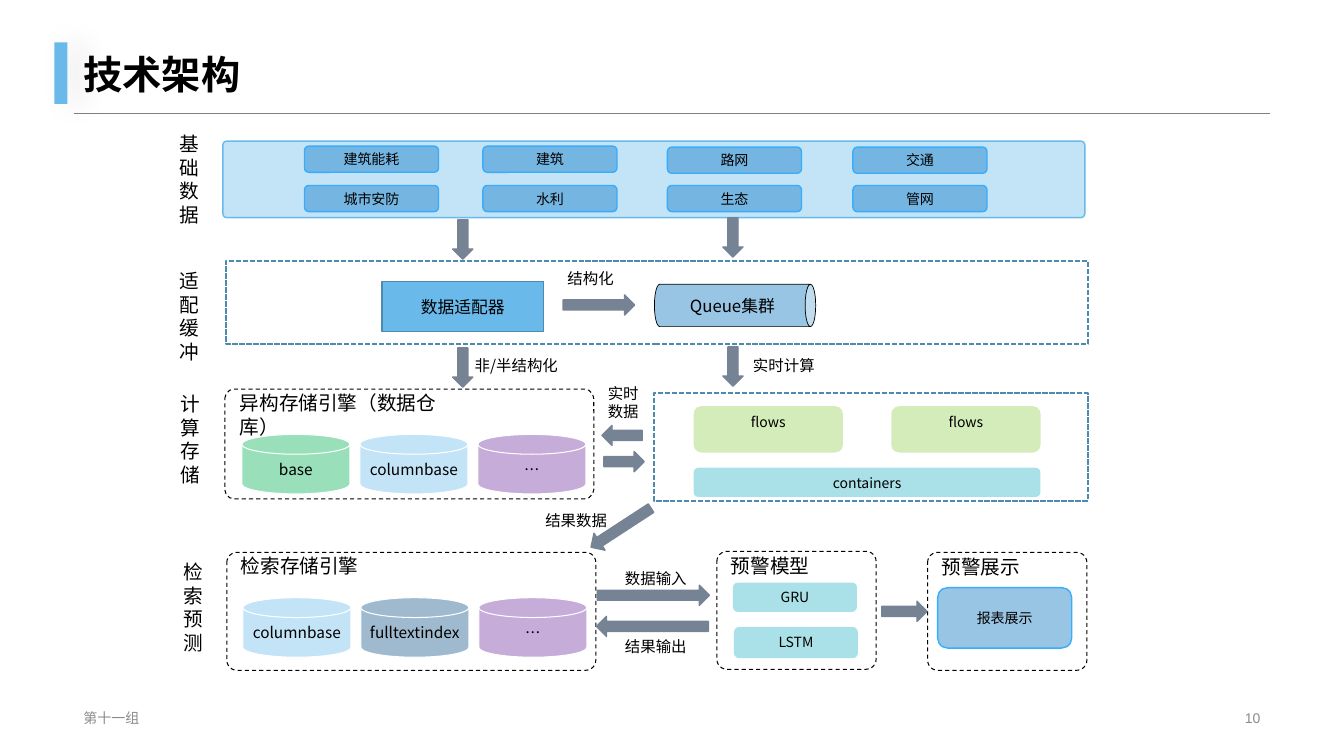
from lxml import etree
from pptx import Presentation
from pptx.dml.color import RGBColor
from pptx.enum.dml import MSO_LINE
from pptx.enum.shapes import MSO_CONNECTOR, MSO_SHAPE
from pptx.enum.text import MSO_ANCHOR, MSO_AUTO_SIZE, PP_ALIGN
from pptx.oxml.ns import qn
from pptx.util import Pt

PX = 9144  # 100 px to the inch
CJK, LATIN = "Noto Sans CJK SC", "Arial"
RECT, ROUND = MSO_SHAPE.RECTANGLE, MSO_SHAPE.ROUNDED_RECTANGLE
DISK, CAN, DOWN = MSO_SHAPE.FLOWCHART_MAGNETIC_DISK, MSO_SHAPE.CAN, MSO_SHAPE.DOWN_ARROW
DASH, SHORT_DASH = MSO_LINE.DASH, MSO_LINE.SQUARE_DOT
TOP, MIDDLE, BOTTOM = MSO_ANCHOR.TOP, MSO_ANCHOR.MIDDLE, MSO_ANCHOR.BOTTOM
LEFT, CENTER, RIGHT = PP_ALIGN.LEFT, PP_ALIGN.CENTER, PP_ALIGN.RIGHT
FIT, NO_FIT = MSO_AUTO_SIZE.SHAPE_TO_FIT_TEXT, MSO_AUTO_SIZE.NONE

COLORS = {
    "black": "000000", "white": "FFFFFF", "rule": "808080", "footer": "8C8C8C",
    "sky": "69B9EB", "steel": "4E89AE", "blue": "0070C0", "edge": "38ACFD",
    "navy": "0F5489", "purple": "7030A0", "green": "00B050", "lime": "92D050",
    "teal": "2BB3C6", "arrow": "768394", "shadow": "262626",
}


def rgb(name):
    return RGBColor.from_string(COLORS[name])


def box(*lengths):
    return [n * PX for n in lengths]


def write(tf, lines, size, color="black", font=CJK, align=LEFT, anchor=TOP, bold=False):
    tf.vertical_anchor = anchor
    for i, line in enumerate(lines):
        p = tf.paragraphs[0] if i == 0 else tf.add_paragraph()
        p.alignment = align
        r = p.add_run()
        r.text = line
        r.font.size, r.font.name, r.font.bold = Pt(size), font, bold
        r.font.color.rgb = rgb(color)
        etree.SubElement(r.font._element, qn("a:ea"), typeface=CJK)


def shape(s, kind, at, fill=None, alpha=None, line=None, width=1, dash=None, adj=None):
    sp = s.shapes.add_shape(kind, *box(*at))
    sp.shadow.inherit = False
    if adj is not None:
        sp.adjustments[0] = adj
    if fill:
        sp.fill.solid()
        sp.fill.fore_color.rgb = rgb(fill)
        if alpha:
            clr = sp._element.spPr.find(qn("a:solidFill"))[0]
            etree.SubElement(clr, qn("a:alpha"), val=str(alpha * 1000))
    else:
        sp.fill.background()
    if line:
        sp.line.color.rgb = rgb(line)
        sp.line.width = Pt(width)
        if dash:
            sp.line.dash_style = dash
    else:
        sp.line.fill.background()
    return sp


def caption(sp, text, size, anchor=MIDDLE, margins=(10, 5)):
    tf = sp.text_frame
    tf.word_wrap = True
    tf.margin_left = tf.margin_right = margins[0] * PX
    tf.margin_top = tf.margin_bottom = margins[1] * PX
    write(tf, [text], size, align=CENTER, anchor=anchor)


def label(s, at, lines, size=11, wrap=True, fit=FIT, **style):
    tf = s.shapes.add_textbox(*box(*at)).text_frame
    tf.word_wrap = wrap
    tf.auto_size = fit
    write(tf, lines, size, **style)


def card(s, x, y, text, h=26):
    sp = shape(s, ROUND, (x, y, 133, h), "blue", 40, "edge")
    caption(sp, text, 10, margins=(11, 5))


def block(s, at, text, fill="teal"):
    caption(shape(s, ROUND, at, fill, 40), text, 10, TOP, (11, 5))


def disk(s, x, y, text, fill):
    sp = shape(s, DISK, (x, y, 107, 59), fill, 40, "white", 0.75)
    caption(sp, text, 11, margins=(4, 0))


def arrow(s, x, y, length, rotation=0):
    sp = shape(s, DOWN, (x, y, 20, length), "arrow", line="arrow")
    sp.rotation = rotation


def frame(s, *at):
    shape(s, ROUND, at, line="black", width=0.75, dash=DASH, adj=0.086)


def zone(s, *at):
    shape(s, RECT, at, line="steel", width=1.25, dash=SHORT_DASH)


def header_and_footer(s):
    rule = s.shapes.add_connector(MSO_CONNECTOR.STRAIGHT, *box(73, 112, 1260, 112))
    rule.line.color.rgb = rgb("rule")
    rule.line.width = Pt(0.25)
    etree.SubElement(rule._element.spPr, qn("a:effectLst"))

    accent = shape(s, RECT, (54, 42, 13, 61), "sky")
    effects = accent._element.spPr.find(qn("a:effectLst"))
    shadow = etree.SubElement(effects, qn("a:outerShdw"), blurRad=str(Pt(20)),
                              dist=str(Pt(10)), dir="0", algn="l", rotWithShape="0")
    clr = etree.SubElement(shadow, qn("a:srgbClr"), val=COLORS["shadow"])
    etree.SubElement(clr, qn("a:alpha"), val="10000")

    title = s.shapes.title
    title.left, title.top, title.width, title.height = box(73, -10, 1187, 112)
    tf = title.text_frame
    tf.auto_size = NO_FIT
    write(tf, ["技术架构"], 28, font=LATIN, anchor=BOTTOM, bold=True)
    tf.paragraphs[0].line_spacing = 0.9

    footer = dict(size=10, fit=NO_FIT, color="footer", font=LATIN, anchor=MIDDLE)
    label(s, (73, 701, 453, 23), ["第十一组"], **footer)
    label(s, (942, 701, 318, 23), ["10"], align=RIGHT, **footer)


def layer_names(s):
    for x, y, name in [(168, 126, "基础数据"), (168, 262, "适配缓冲"),
                       (169, 384, "计算存储"), (172, 551, "检索预测")]:
        label(s, (x, y, 40, 104), name, 14, wrap=False, font=LATIN)


def base_data(s):
    shape(s, ROUND, (221, 140, 855, 76), "sky", 40, "sky", adj=0.053)
    columns = [(302, 145, "建筑能耗", "城市安防"), (479, 145, "建筑", "水利"),
               (662, 146, "路网", "生态"), (846, 146, "交通", "管网")]
    for x, y, upper, lower in columns:
        card(s, x, y, upper)
        card(s, x, 184, lower)
    arrow(s, 449, 218, 39)
    arrow(s, 717, 216, 39)


def adapter_buffer(s):
    zone(s, 224, 259, 855, 82)
    caption(shape(s, RECT, (379, 279, 160, 50), "sky", line="steel"), "数据适配器", 12)
    queue = shape(s, CAN, (708, 223, 42, 160), "blue", 40, "black", 0.5)
    queue.rotation = 90
    caption(queue, "Queue集群", 12)
    queue.text_frame._txBody.bodyPr.set("vert", "vert270")
    arrow(s, 584, 267, 71, 270)
    label(s, (553, 262, 173, 29), ["结构化"])
    arrow(s, 449, 345, 39)
    label(s, (461, 348, 173, 29), ["非/半结构化"])
    arrow(s, 717, 344, 39)
    label(s, (737, 348, 173, 29), ["实时计算"])


def compute_storage(s):
    frame(s, 223, 386, 366, 109)
    for x, text, fill in [(240, "base", "green"), (357, "columnbase", "sky"),
                          (474, "…", "purple")]:
        disk(s, x, 431, text, fill)
    label(s, (228, 383, 251, 34), ["异构存储引擎（数据仓库）"], 14)
    zone(s, 649, 390, 430, 107)
    for x in (688, 884):
        block(s, (x, 403, 148, 46), "flows", "lime")
    block(s, (688, 464, 344, 29), "containers")
    label(s, (593, 376, 173, 47), ["实时", "数据"])
    arrow(s, 607, 412, 40, 90)
    arrow(s, 609, 438, 40, 270)
    arrow(s, 606, 488, 71, 56.9)
    label(s, (531, 502, 173, 29), ["结果数据"])


def search_forecast(s):
    for x, y, w, name_x, name_y, name in [(225, 548, 366, 229, 545, "检索存储引擎"),
                                          (711, 547, 158, 715, 545, "预警模型"),
                                          (920, 548, 158, 924, 546, "预警展示")]:
        frame(s, x, y, w, 117)
        label(s, (name_x, name_y, 173, 34), [name], 14)
    for x, text, fill in [(241, "columnbase", "sky"), (358, "fulltextindex", "navy"),
                          (475, "…", "purple")]:
        disk(s, x, 593, text, fill)
    arrow(s, 638, 535, 111, 270)
    label(s, (610, 560, 173, 29), ["数据输入"])
    arrow(s, 637, 566, 111, 90)
    label(s, (610, 627, 173, 29), ["结果输出"])
    block(s, (727, 578, 123, 29), "GRU")
    block(s, (728, 622, 123, 31), "LSTM")
    arrow(s, 887, 584, 45, 270)
    card(s, 930, 583, "报表展示", 60)


def main():
    prs = Presentation()
    prs.slide_width, prs.slide_height = box(1333, 750)
    s = prs.slides.add_slide(prs.slide_layouts[5])
    header_and_footer(s)
    layer_names(s)
    base_data(s)
    adapter_buffer(s)
    compute_storage(s)
    search_forecast(s)
    prs.save("out.pptx")


if __name__ == "__main__":
    main()
